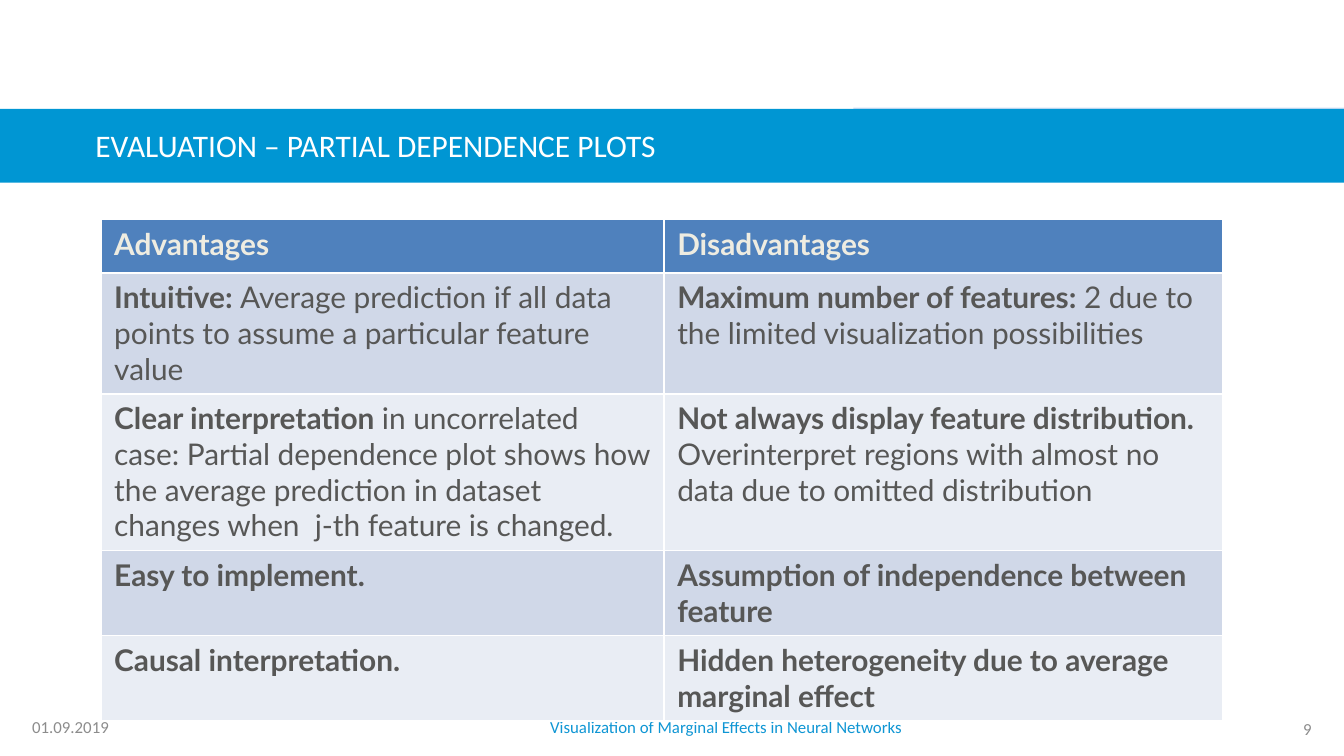
from pptx import Presentation
from pptx.dml.color import RGBColor
from pptx.enum.shapes import MSO_SHAPE
from pptx.enum.text import MSO_ANCHOR, PP_ALIGN
from pptx.util import Inches, Pt

THEME = {
    "title": {"name": "Calibri", "size": 21, "color": "FFFFFF", "bold": False},
    "footer": {"name": "Calibri", "size": 9, "color": "8C8C8C"},
    "footer_topic": {"name": "Calibri", "size": 9, "color": "0F96D4"},
    "head": {"name": "Lato", "size": 16, "color": "EEECE1", "bold": True},
    "strong": {"name": "Lato", "size": 16, "color": "575756", "bold": True},
    "plain": {"name": "Lato", "size": 16, "color": "575756", "bold": False},
    "head_fill": "4F81BD",
    "row_fills": ["D0D8E8", "E9EDF4"],
}

TITLE = "evaluation – partial dependence plots"
BANDS = [
    ((6.35, 0.8, 3.65, 0.02), "CFDFF4"),
    ((0, 0.81, 10, 0.55), "0096D3"),
]
FOOTERS = [
    ("01.09.2019", (0.24, 5.33, 1.13, 0.16), PP_ALIGN.LEFT, "footer"),
    ("9", (9.1, 5.35, 0.66, 0.14), PP_ALIGN.RIGHT, "footer"),
    ("Visualization of Marginal Effects in Neural Networks",
     (2.09, 5.33, 6.62, 0.16), PP_ALIGN.CENTER, "footer_topic"),
]
HEADINGS = ["Advantages", "Disadvantages"]
POINTS = [
    [("Intuitive: ",
      "Average prediction if all data points to assume a particular feature value"),
     ("Maximum number of features: ",
      "2 due to the limited visualization possibilities")],
    [("Clear interpretation ",
      "in uncorrelated case: Partial dependence plot shows how the average "
      "prediction in dataset changes when  j-th feature is changed."),
     ("Not always display feature distribution.",
      " Overinterpret regions with almost no data due to omitted distribution")],
    [("Easy to implement.", ""),
     ("Assumption of independence between feature", "")],
    [("Causal interpretation.", ""),
     ("Hidden heterogeneity due to average marginal effect", "")],
]
COLUMN_WIDTHS = [4.19, 4.16]
ROW_HEIGHT = 0.4
TABLE_LEFT, TABLE_TOP = 0.75, 1.63


def add_span(para, text, style):
    span = para.add_run()
    span.text = text
    for key, value in THEME[style].items():
        if key == "color":
            span.font.color.rgb = RGBColor.from_string(value)
        else:
            setattr(span.font, key, Pt(value) if key == "size" else value)
    return span


def clear_margins(frame):
    for side in ("left", "top", "right", "bottom"):
        setattr(frame, f"margin_{side}", 0)
    frame.word_wrap = True
    frame.vertical_anchor = MSO_ANCHOR.TOP


def fill_cell(cell, color, spans):
    cell.fill.solid()
    cell.fill.fore_color.rgb = RGBColor.from_string(color)
    for text, style in spans:
        if text:
            add_span(cell.text_frame.paragraphs[0], text, style)


def add_bands(page):
    for order, (area, color) in enumerate(BANDS):
        band = page.shapes.add_shape(MSO_SHAPE.RECTANGLE, *map(Inches, area))
        band.shadow.inherit = False
        band.fill.solid()
        band.fill.fore_color.rgb = RGBColor.from_string(color)
        band.line.fill.background()
        page.shapes._spTree.insert(2 + order, band._element)


def add_title(page):
    title = page.shapes.title
    title.left, title.top, title.width, title.height = map(Inches, (0.71, 0.88, 8.34, 0.35))
    clear_margins(title.text_frame)
    para = title.text_frame.paragraphs[0]
    para.alignment = PP_ALIGN.LEFT
    span = add_span(para, TITLE, "title")
    span.font._element.set("cap", "small")


def add_footers(page):
    for text, area, alignment, style in FOOTERS:
        box = page.shapes.add_textbox(*map(Inches, area))
        clear_margins(box.text_frame)
        para = box.text_frame.paragraphs[0]
        para.alignment = alignment
        add_span(para, text, style)


def add_comparison(page):
    row_count = len(POINTS) + 1
    table = page.shapes.add_table(
        row_count, len(HEADINGS), Inches(TABLE_LEFT), Inches(TABLE_TOP),
        Inches(sum(COLUMN_WIDTHS)), Inches(ROW_HEIGHT * row_count)).table
    for column, width in zip(table.columns, COLUMN_WIDTHS):
        column.width = Inches(width)
    for row in table.rows:
        row.height = Inches(ROW_HEIGHT)
    for column, heading in enumerate(HEADINGS):
        fill_cell(table.cell(0, column), THEME["head_fill"], [(heading, "head")])
    for row, points in enumerate(POINTS, start=1):
        color = THEME["row_fills"][(row - 1) % 2]
        for column, (strong, plain) in enumerate(points):
            fill_cell(table.cell(row, column), color,
                      [(strong, "strong"), (plain, "plain")])


def main():
    deck = Presentation()
    deck.slide_width = Inches(10)
    deck.slide_height = deck.slide_width * 9 // 16
    page = deck.slides.add_slide(deck.slide_layouts[5])
    add_bands(page)
    add_title(page)
    add_footers(page)
    add_comparison(page)
    deck.save("out.pptx")


if __name__ == "__main__":
    main()
